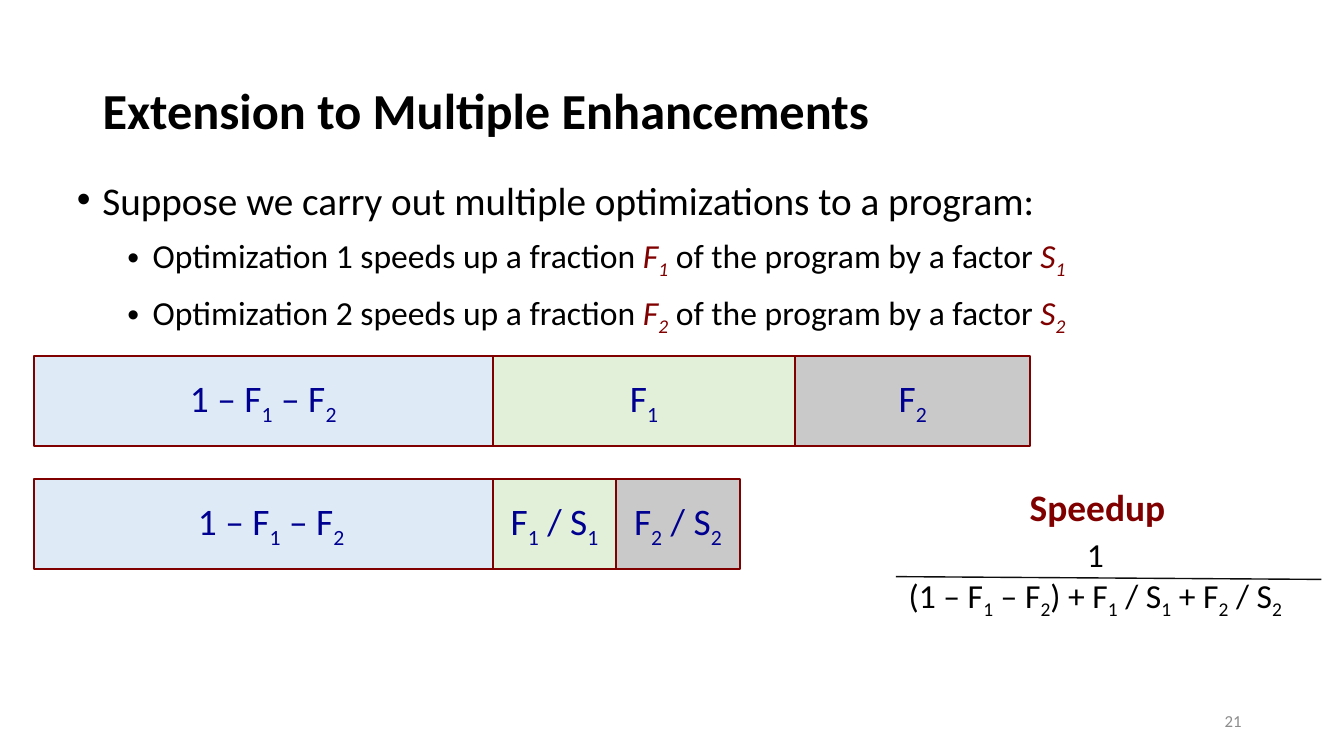
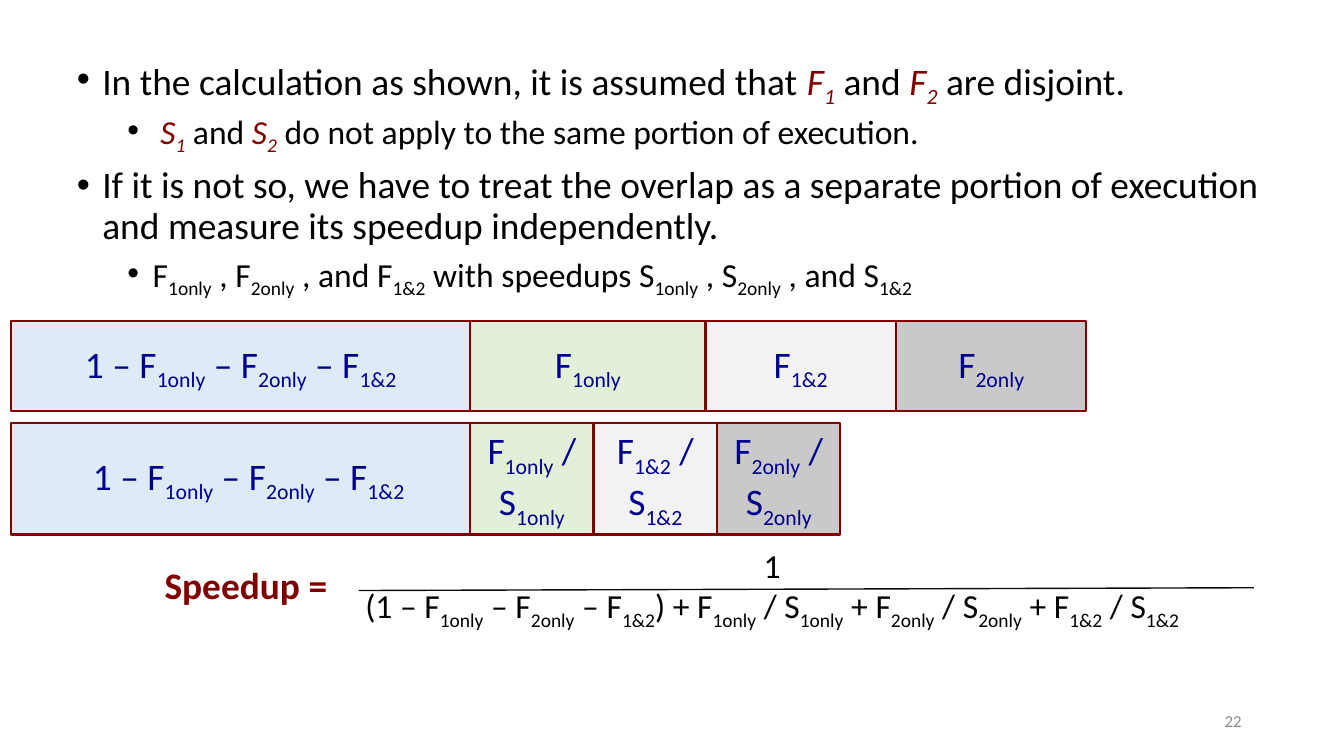
import pptx
import pptx.util
import pptx.dml.color
import pptx.enum.shapes
import pptx.enum.text
import pptx.oxml.ns
from dataclasses import dataclass
from lxml import etree

Cm = pptx.util.Cm
Pt = pptx.util.Pt
ALIGN = pptx.enum.text.PP_ALIGN
ANCHOR = pptx.enum.text.MSO_ANCHOR


@dataclass(frozen=True)
class Theme:
    font: str = "Calibri"
    ink: str = "000000"
    mark: str = "800000"
    label: str = "000090"
    rule: str = "0D0D0D"
    quiet: str = "8C8C8C"
    blue: str = "DEEBF7"
    green: str = "E2F0D9"
    pale: str = "F2F2F2"
    gray: str = "C9C9C9"
    title: float = 36
    lead: float = 28
    text: float = 26.7
    sub: float = 24
    small: float = 12


T = Theme()

# Marks in the text: ~subscript~ and *variable*.
REST = "1 – F~1~ – F~2~"
REST_ONLY = "1 – F~1only~ – F~2only~ – F~1&2~"

SLIDES = [
    dict(
        number="21",
        title="Extension to Multiple Enhancements",
        body=dict(box=(1.69, 4.19, 30.48, 4.24), lead=T.lead, space=1.1, items=[
            (0, "Suppose we carry out multiple optimizations to a program:"),
            (1, "Optimization 1 speeds up a fraction *F~1~* of the program by a factor *S~1~*"),
            (1, "Optimization 2 speeds up a fraction *F~2~* of the program by a factor *S~2~*"),
        ]),
        left=0.85,
        bars=[
            dict(top=8.97, high=2.26, lap=0, cells=[
                (REST, 11.57, T.blue),
                ("F~1~", 7.62, T.green),
                ("F~2~", 5.93, T.gray),
            ]),
            dict(top=12.07, high=2.26, lap=0.4, cells=[
                (REST, 11.57, T.blue),
                ("F~1~ / S~1~", 3.11, T.green),
                ("F~2~ / S~2~", 3.11, T.gray),
            ]),
        ],
        speedup=("Speedup", (25.4, 12.07, 4.52, 1.4)),
        ratio=("(" + REST + ") + F~1~ / S~1~ + F~2~ / S~2~",
               (21.74, 13.34, 11.73, 2.31)),
        rule=(22.58, 14.53, 33.3, 14.6),
    ),
    dict(
        number="22",
        title=None,
        body=dict(box=(1.69, 1.35, 31.6, 6.5), lead=T.text, space=0.9, items=[
            (0, "In the calculation as shown, it is assumed that *F~1~* and *F~2~* are disjoint."),
            (1, " *S~1~* and *S~2~* do not apply to the same portion of execution."),
            (0, "If it is not so, we have to treat the overlap as a separate portion "
                "of execution and measure its speedup independently."),
            (1, "F~1only~ , F~2only~ , and F~1&2~ with speedups "
                "S~1only~ , S~2only~ , and S~1&2~"),
        ]),
        left=0.28,
        bars=[
            dict(top=8.1, high=2.26, lap=0, cells=[
                (REST_ONLY, 11.57, T.blue),
                ("F~1only~", 5.93, T.green),
                ("F~1&2~", 4.8, T.pale),
                ("F~2only~", 4.8, T.gray),
            ]),
            dict(top=10.65, high=2.82, lap=0.4, cells=[
                (REST_ONLY, 11.57, T.blue),
                ("F~1only~ / S~1only~", 3.11, T.green),
                ("F~1&2~ / S~1&2~", 3.11, T.pale),
                ("F~2only~ / S~2only~", 3.11, T.gray),
            ]),
        ],
        speedup=("Speedup =", (3.66, 14.05, 5.08, 1.4)),
        ratio=("(" + REST_ONLY + ") + F~1only~ / S~1only~ + F~2only~ / S~2only~"
               " + F~1&2~ / S~1&2~", (8.74, 13.61, 21.44, 2.31)),
        rule=(9.04, 14.88, 31.6, 14.81),
    ),
]


def rgb(code):
    return pptx.dml.color.RGBColor.from_string(code)


def write(par, text, size, color=T.ink, bold=False, align=None):
    par.alignment = align
    for i, part in enumerate(text.split("*")):
        for j, bit in enumerate(part.split("~")):
            if not bit:
                continue
            run = par.add_run()
            run.text = bit
            font = run.font
            font.name, font.size, font.bold = T.font, Pt(size), bold
            font.italic = i % 2 == 1
            font.color.rgb = rgb(T.mark if i % 2 else color)
            if j % 2:
                run._r.get_or_add_rPr().set("baseline", "-25000")


def place(slide, box):
    frame = slide.shapes.add_textbox(*map(Cm, box)).text_frame
    frame.word_wrap = True
    return frame


def bullet(par, level):
    props = par._p.get_or_add_pPr()
    props.set("marL", str(Cm(0.64 + 1.27 * level)))
    props.set("indent", str(-Cm(0.64)))
    qn = pptx.oxml.ns.qn
    etree.SubElement(props, qn("a:buFont")).set("typeface", "Arial")
    etree.SubElement(props, qn("a:buChar")).set("char", "•")


def add_title(slide, text):
    shape = slide.shapes.title
    shape.left, shape.top, shape.width, shape.height = map(Cm, (2.33, 1.02, 29.21, 3.68))
    frame = shape.text_frame
    frame.auto_size = pptx.enum.text.MSO_AUTO_SIZE.NONE
    frame.vertical_anchor = ANCHOR.MIDDLE
    par = frame.paragraphs[0]
    par.line_spacing = 0.9
    write(par, text, T.title, bold=True, align=ALIGN.LEFT)


def add_body(slide, body):
    frame = place(slide, body["box"])
    for i, (level, text) in enumerate(body["items"]):
        par = frame.add_paragraph() if i else frame.paragraphs[0]
        par.level = level
        bullet(par, level)
        par.line_spacing = body["space"]
        if i:
            par.space_before = Pt(5 if level else 10)
        write(par, text, T.sub if level else body["lead"])


def add_bar(slide, left, bar):
    for i, (text, wide, tint) in enumerate(bar["cells"]):
        full = wide if i else wide + bar["lap"]
        cell = slide.shapes.add_shape(
            pptx.enum.shapes.MSO_SHAPE.RECTANGLE,
            Cm(left), Cm(bar["top"]), Cm(full), Cm(bar["high"]))
        cell.shadow.inherit = False
        cell.fill.solid()
        cell.fill.fore_color.rgb = rgb(tint)
        cell.line.color.rgb = rgb(T.mark)
        cell.line.width = Pt(1.5)
        frame = cell.text_frame
        frame.word_wrap = True
        frame.vertical_anchor = ANCHOR.MIDDLE
        write(frame.paragraphs[0], text, T.text, T.label, align=ALIGN.CENTER)
        left += wide


def add_ratio(slide, data):
    text, box = data["ratio"]
    frame = place(slide, box)
    write(frame.paragraphs[0], "1", T.sub, align=ALIGN.CENTER)
    write(frame.add_paragraph(), text, T.sub, align=ALIGN.CENTER)
    rule = slide.shapes.add_connector(
        pptx.enum.shapes.MSO_CONNECTOR.STRAIGHT, *map(Cm, data["rule"]))
    rule.line.color.rgb = rgb(T.rule)
    rule.line.width = Pt(1)
    etree.SubElement(rule._element.spPr, pptx.oxml.ns.qn("a:effectLst"))
    text, box = data["speedup"]
    write(place(slide, box).paragraphs[0], text, T.text, T.mark, True, ALIGN.CENTER)


def add_number(slide, text):
    frame = place(slide, (23.92, 17.65, 7.62, 1.02))
    frame.vertical_anchor = ANCHOR.MIDDLE
    write(frame.paragraphs[0], text, T.small, T.quiet, align=ALIGN.RIGHT)


def main():
    deck = pptx.Presentation()
    deck.slide_width, deck.slide_height = Cm(33.87), Cm(19.05)
    for data in SLIDES:
        slide = deck.slides.add_slide(deck.slide_layouts[5 if data["title"] else 6])
        if data["title"]:
            add_title(slide, data["title"])
        add_body(slide, data["body"])
        add_number(slide, data["number"])
        for bar in data["bars"]:
            add_bar(slide, data["left"], bar)
        add_ratio(slide, data)
    deck.save("out.pptx")


if __name__ == "__main__":
    main()
